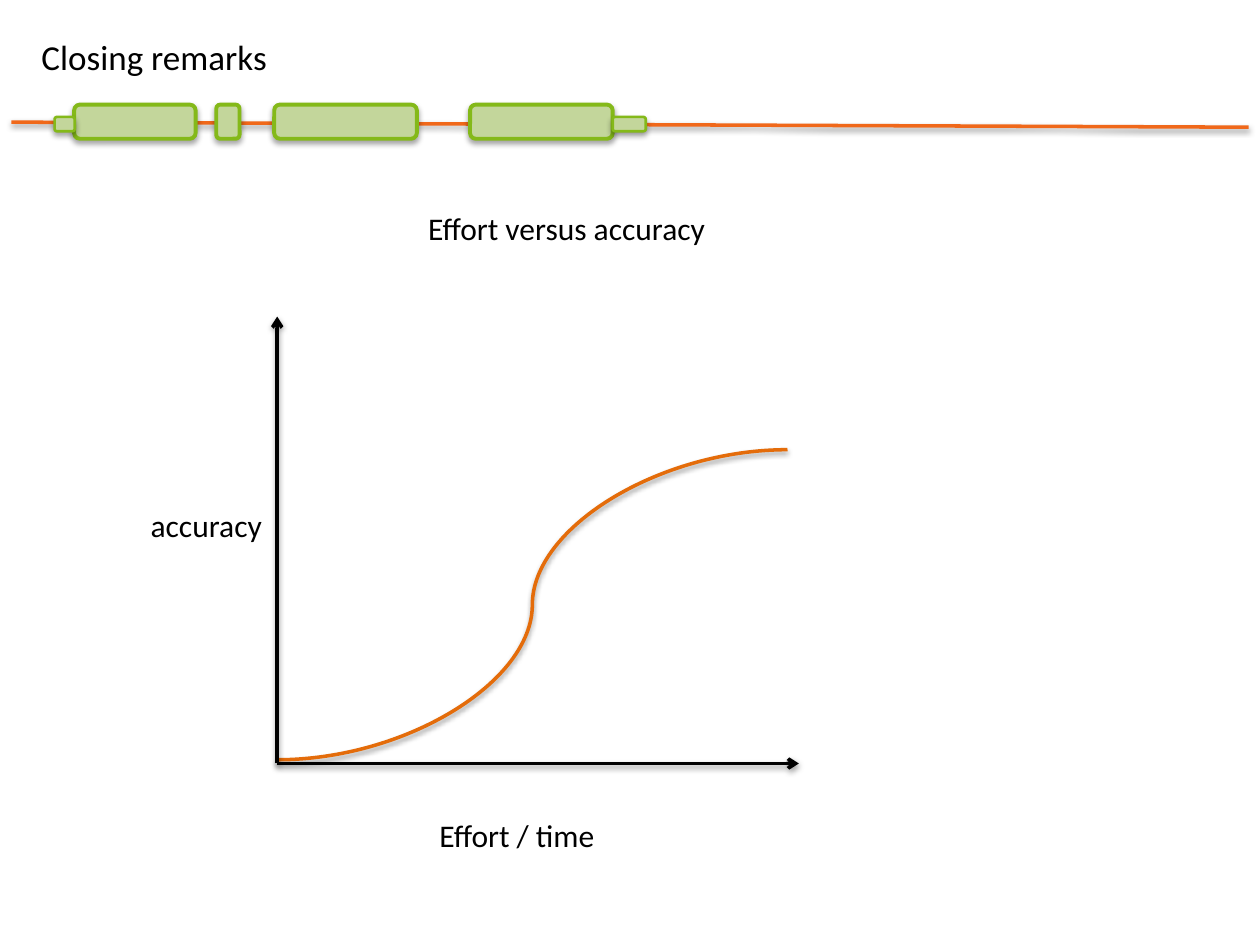
import pptx
import pptx.util
import pptx.dml.color
import pptx.enum.shapes
import pptx.enum.text
import pptx.oxml
import pptx.oxml.ns

Pt = pptx.util.Pt
COLORS = {"text": "000000", "axis": "000000", "gene_line": "F0681A",
          "exon_fill": "C3D69B", "exon_line": "84B919", "curve": "E46C0A"}
RGB = {part: pptx.dml.color.RGBColor.from_string(c) for part, c in COLORS.items()}


def style_line(shape, part, width, distance, opacity, arrow=False):
    """Set the outline, an optional arrowhead and the soft shadow below."""
    shape.line.color.rgb = RGB[part]
    shape.line.width = Pt(width)
    namespace = pptx.oxml.ns.nsdecls("a")
    if arrow:
        shape.line._get_or_add_ln().append(
            pptx.oxml.parse_xml(f'<a:tailEnd {namespace} type="arrow"/>'))
    shape._element.spPr.append(pptx.oxml.parse_xml(
        f'<a:effectLst {namespace}><a:outerShdw blurRad="{Pt(3.15)}" '
        f'dist="{Pt(distance)}" dir="5400000" rotWithShape="0">'
        f'<a:srgbClr val="000000"><a:alpha val="{opacity * 1000}"/></a:srgbClr>'
        '</a:outerShdw></a:effectLst>'))


def write(box, text, size, wrap=False):
    """Put one left-aligned run at the top of a box."""
    frame = box.text_frame
    frame.word_wrap = wrap
    frame.auto_size = pptx.enum.text.MSO_AUTO_SIZE.SHAPE_TO_FIT_TEXT
    frame.vertical_anchor = pptx.enum.text.MSO_ANCHOR.TOP
    paragraph = frame.paragraphs[0]
    paragraph.alignment = pptx.enum.text.PP_ALIGN.LEFT
    run = paragraph.add_run()
    run.text = text
    run.font.name = "Calibri"
    run.font.size = Pt(size)
    run.font.color.rgb = RGB["text"]


deck = pptx.Presentation()
deck.slide_width, deck.slide_height = Pt(720), Pt(540)
slide = deck.slides.add_slide(deck.slide_layouts[5])
shapes = slide.shapes
LINE = pptx.enum.shapes.MSO_CONNECTOR.STRAIGHT
CURVE = pptx.enum.shapes.MSO_CONNECTOR.CURVE

# Title
title = shapes.title
title.left, title.top, title.width, title.height = Pt(16.5), Pt(16.5), Pt(149), Pt(31.5)
write(title, "Closing remarks", 20)

# Gene model: a line with wide exons and a small end piece on each side
gene = shapes.add_connector(LINE, Pt(6.5), Pt(69.8), Pt(713.5), Pt(72.7))
style_line(gene, "gene_line", 2, 1.57, 38)

EXON, END = (59.8, 19.5, 2.25), (66.8, 8.2, 1.5)  # top, height, outline
for left, width, (top, height, outline) in [
        (42.4, 69.4, EXON), (123.6, 13.3, EXON), (156.7, 81.5, EXON),
        (268.6, 81.5, EXON), (350.1, 18.9, END), (31.2, 11.5, END)]:
    exon = shapes.add_shape(pptx.enum.shapes.MSO_SHAPE.ROUNDED_RECTANGLE,
                            Pt(left), Pt(top), Pt(width), Pt(height))
    exon.fill.solid()
    exon.fill.fore_color.rgb = RGB["exon_fill"]
    style_line(exon, "exon_line", outline, 1.81, 35)

# Accuracy curve and the two axes
origin_x, origin_y = 158.4, 436.3
for kind, start_y, end_x, end_y, part, arrow in [
        (CURVE, 434.2, 450, 257, "curve", False),
        (LINE, origin_y, origin_x, 180.9, "axis", True),
        (LINE, origin_y, 456.5, origin_y, "axis", True)]:
    stroke = shapes.add_connector(kind, Pt(origin_x), Pt(start_y), Pt(end_x), Pt(end_y))
    style_line(stroke, part, 2, 1.57, 38, arrow)

# Heading and axis labels
for text, left, top, width, wrap in [
        ("Effort versus accuracy", 237.6, 116, 176.4, False),
        ("Effort / time", 244, 462.5, 131, True),
        ("accuracy", 79, 285.7, 79.2, False)]:
    label = shapes.add_textbox(Pt(left), Pt(top), Pt(width), Pt(29))
    write(label, text, 18, wrap)

deck.save("out.pptx")
